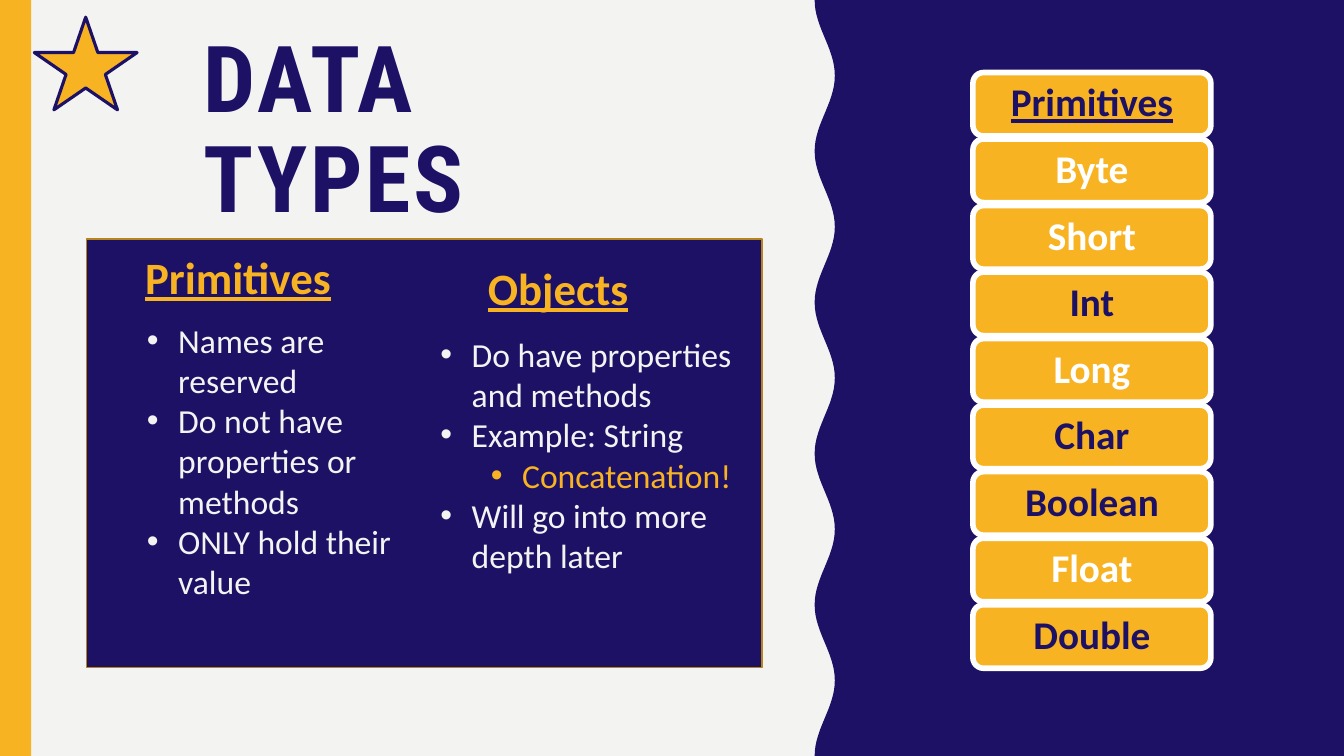
from math import cos, pi

from pptx import Presentation
from pptx.dml.color import RGBColor
from pptx.enum.shapes import MSO_SHAPE
from pptx.enum.text import MSO_ANCHOR, MSO_AUTO_SIZE, PP_ALIGN
from pptx.oxml.ns import qn
from pptx.util import Inches, Pt

NAVY = RGBColor(0x1D, 0x11, 0x65)
GOLD = RGBColor(0xF8, 0xB3, 0x23)
BRONZE = RGBColor(0xB7, 0x84, 0x1A)
PAPER = RGBColor(0xF3, 0xF3, 0xF2)
WHITE = RGBColor(0xFF, 0xFF, 0xFF)

WIDTH, HEIGHT = 13.33, 7.5
WAVE_MID, WAVE_DEPTH, WAVE_PERIOD, WAVE_STEPS = 8.18, 0.1, 1.5, 150

PRIMITIVE_TYPES = [
    ("Byte", WHITE), ("Short", WHITE), ("Int", NAVY), ("Long", WHITE),
    ("Char", NAVY), ("Boolean", NAVY), ("Float", WHITE), ("Double", NAVY),
]
PRIMITIVE_POINTS = [
    ("Names are reserved", 0),
    ("Do not have properties or methods", 0),
    ("ONLY hold their value", 0),
]
OBJECT_POINTS = [
    ("Do have properties and methods", 0),
    ("Example: String", 0),
    ("Concatenation!", 1),
    ("Will go into more depth later", 0),
]


def write(p, text, size, color, font="Calibri", bold=False, underline=False,
          align=PP_ALIGN.LEFT, line_spacing=1.0):
    p.alignment = align
    p.line_spacing = line_spacing
    r = p.add_run()
    r.text = text
    r.font.name = font
    r.font.size = Pt(size)
    r.font.bold = bold
    r.font.underline = underline
    r.font.color.rgb = color
    return r


def paint(sp, fill, line=None, weight=1):
    sp.shadow.inherit = False
    sp.fill.solid()
    sp.fill.fore_color.rgb = fill
    if line is None:
        sp.line.fill.background()
    else:
        sp.line.color.rgb = line
        sp.line.width = Pt(weight)


def add_box(s, kind, left, top, width, height, fill, line=None, weight=1):
    sp = s.shapes.add_shape(kind, Inches(left), Inches(top),
                            Inches(width), Inches(height))
    paint(sp, fill, line, weight)
    return sp


def add_text_frame(s, left, top, width, height):
    tb = s.shapes.add_textbox(Inches(left), Inches(top),
                              Inches(width), Inches(height))
    tb.text_frame.word_wrap = True
    return tb.text_frame


def add_wave_panel(s):
    edge = []
    for i in range(WAVE_STEPS, -1, -1):
        y = HEIGHT * i / WAVE_STEPS
        x = WAVE_MID - WAVE_DEPTH * cos(2 * pi * y / WAVE_PERIOD)
        edge.append((Inches(x), Inches(y)))
    right = Inches(WIDTH)
    fb = s.shapes.build_freeform(right, 0)
    fb.add_line_segments([(right, Inches(HEIGHT))] + edge, close=True)
    paint(fb.convert_to_shape(), NAVY)


def add_title(s, text):
    title = s.shapes.title
    title.left, title.top = Inches(1.92), Inches(0.82)
    title.width, title.height = Inches(4.86), Inches(0.99)
    tf = title.text_frame
    tf.word_wrap = True
    tf.auto_size = MSO_AUTO_SIZE.NONE
    tf.vertical_anchor = MSO_ANCHOR.MIDDLE
    r = write(tf.paragraphs[0], text, 66, NAVY, font="Roboto Condensed",
              bold=True, line_spacing=0.9)
    r.font._element.set("spc", "200")


def add_heading(s, text, left, top):
    tf = add_text_frame(s, left, top, 2.42, 0.69)
    write(tf.paragraphs[0], text, 32, GOLD, bold=True, underline=True)


def add_bullets(s, points, left, top, width, height):
    tf = add_text_frame(s, left, top, width, height)
    for i, (text, level) in enumerate(points):
        p = tf.add_paragraph() if i else tf.paragraphs[0]
        p.level = level
        write(p, text, 24, GOLD if level else PAPER)
        pPr = p._p.get_or_add_pPr()
        pPr.set("marL", str(Inches(0.31 + 0.5 * level)))
        pPr.set("indent", str(Inches(-0.31)))
        font = pPr.makeelement(qn("a:buFont"), {"typeface": "Arial"})
        bullet = pPr.makeelement(qn("a:buChar"), {"char": "•"})
        pPr.extend([font, bullet])


def add_type_list(s):
    for i, (name, color) in enumerate([("Primitives", NAVY)] + PRIMITIVE_TYPES):
        sp = add_box(s, MSO_SHAPE.ROUNDED_RECTANGLE, 9.65, 0.72 + 0.66 * i,
                     2.36, 0.63, GOLD, WHITE, 4)
        tf = sp.text_frame
        tf.vertical_anchor = MSO_ANCHOR.MIDDLE
        tf.margin_top = tf.margin_bottom = Inches(0.06)
        write(tf.paragraphs[0], name, 28, color, bold=True, underline=i == 0,
              align=PP_ALIGN.CENTER, line_spacing=0.9)


def main():
    prs = Presentation()
    prs.slide_width, prs.slide_height = Inches(WIDTH), Inches(HEIGHT)
    s = prs.slides.add_slide(prs.slide_layouts[5])
    s.background.fill.solid()
    s.background.fill.fore_color.rgb = PAPER

    add_wave_panel(s)
    add_box(s, MSO_SHAPE.RECTANGLE, 0, 0, 0.31, HEIGHT, GOLD)
    add_title(s, "DATA TYPES")
    add_box(s, MSO_SHAPE.RECTANGLE, 0.86, 2.37, 6.7, 4.25, NAVY, BRONZE)
    add_heading(s, "Objects", 4.74, 2.54)
    add_heading(s, "Primitives", 1.34, 2.43)
    add_type_list(s)
    add_bullets(s, OBJECT_POINTS, 4.27, 3.26, 3.38, 3.23)
    add_bullets(s, PRIMITIVE_POINTS, 1.36, 3.12, 2.83, 2.93)
    add_box(s, MSO_SHAPE.STAR_5_POINT, 0.34, 0.17, 1.02, 0.92, GOLD, NAVY, 2.25)
    prs.save("out.pptx")


main()
